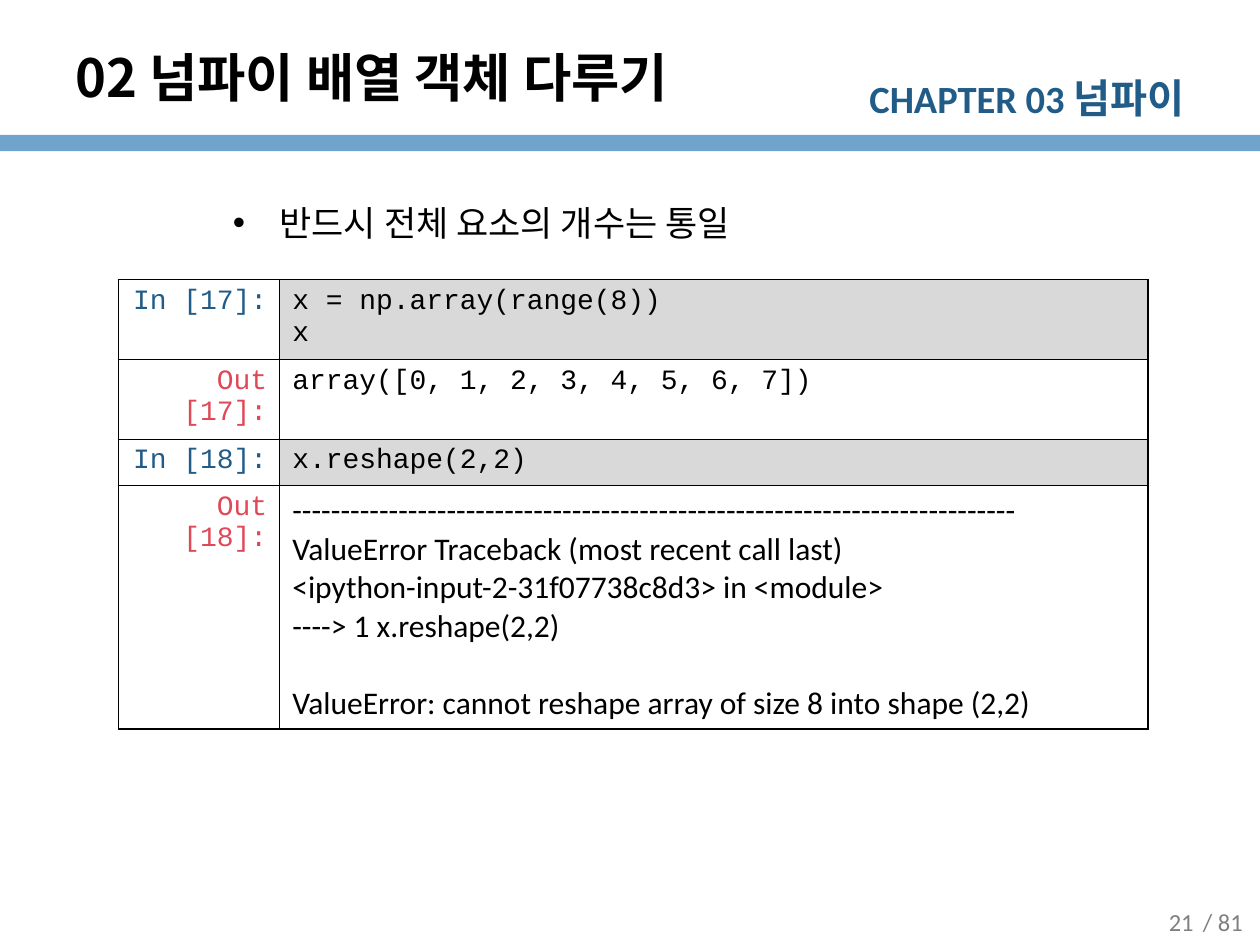
from pptx import Presentation
from pptx.dml.color import RGBColor
from pptx.enum.shapes import MSO_SHAPE as Shape
from pptx.enum.text import MSO_ANCHOR as Anchor, MSO_AUTO_SIZE as AutoSize, PP_ALIGN as Align
from pptx.oxml.ns import qn
from pptx.util import Inches, Pt
from lxml.etree import SubElement

COLUMNS, ROWS = 100, 75
SANS, CODE, KOREAN = "Calibri", "Courier New", "Noto Sans CJK KR"
BLACK, NAVY, RED, GRAY = "000000", "215C88", "DF4857", "808080"
BAND, CODE_FILL = "71A4CC", "D9D9D9"


def color(value):
    return RGBColor.from_string(value)


def write(para, text, size=16, font=SANS, ink=BLACK, bold=False, align=Align.LEFT):
    para.alignment = align
    span = para.add_run()
    span.text = text
    span.font.size = Pt(size)
    span.font.name = font
    span.font.bold = bold
    span.font.color.rgb = color(ink)
    SubElement(span.font._element, qn("a:ea"), typeface=KOREAN)


class LessonSlide:
    def __init__(self, deck):
        self.width, self.height = deck.slide_width, deck.slide_height
        self.page = deck.slides.add_slide(deck.slide_layouts[5])

    def across(self, columns):
        return round(self.width * columns / COLUMNS)

    def down(self, rows):
        return round(self.height * rows / ROWS)

    def place(self, left, top, width, height):
        return self.across(left), self.down(top), self.across(width), self.down(height)

    def title(self, text, area):
        box = self.page.shapes.title
        box.left, box.top, box.width, box.height = self.place(*area)
        frame = box.text_frame
        frame.auto_size = AutoSize.NONE
        frame.vertical_anchor = Anchor.MIDDLE
        write(frame.paragraphs[0], text, size=30, font=KOREAN, bold=True)

    def band(self, area, fill):
        band = self.page.shapes.add_shape(Shape.RECTANGLE, *self.place(*area))
        band.shadow.inherit = False
        band.fill.solid()
        band.fill.fore_color.rgb = color(fill)
        band.line.fill.background()

    def text(self, spans, area, anchor=Anchor.TOP, **style):
        frame = self.page.shapes.add_textbox(*self.place(*area)).text_frame
        frame.word_wrap = True
        frame.vertical_anchor = anchor
        para = frame.paragraphs[0]
        for text, size in spans:
            write(para, text, size=size, **style)
        return para

    def bullet(self, text, area, margin, hanging):
        para = self.text([], area)
        settings = para._p.get_or_add_pPr()
        settings.set("marL", str(self.across(margin)))
        settings.set("indent", str(-self.across(hanging)))
        SubElement(settings, qn("a:buFont"), typeface="Arial")
        SubElement(settings, qn("a:buChar"), char="•")
        para.line_spacing = 1.25
        write(para, text, size=20)

    def border(self, cell):
        settings = cell._tc.get_or_add_tcPr()
        for side in ("lnL", "lnR", "lnT", "lnB"):
            line = SubElement(settings, qn(f"a:{side}"), w=str(Pt(1)))
            paint = SubElement(line, qn("a:solidFill"))
            SubElement(paint, qn("a:srgbClr"), val=BLACK)

    def cell(self, cell, lines, fill=None, gap_before=None, **style):
        self.border(cell)
        if fill:
            cell.fill.solid()
            cell.fill.fore_color.rgb = color(fill)
        else:
            cell.fill.background()
        frame = cell.text_frame
        for index, line in enumerate(lines):
            para = frame.add_paragraph() if index else frame.paragraphs[0]
            if index == gap_before:
                para.space_before = Pt(22)
            write(para, line, **style)

    def notebook(self, entries, area, widths, heights):
        frame = self.page.shapes.add_table(len(entries), 2, *self.place(*area))
        table = frame.table
        table.first_row = table.horz_banding = False
        for column, width in zip(table.columns, widths):
            column.width = self.across(width)
        for index, (label, lines, style) in enumerate(entries):
            table.rows[index].height = self.down(heights[index])
            is_input = label.startswith("In")
            self.cell(table.cell(index, 0), [label], font=CODE,
                      ink=NAVY if is_input else RED, align=Align.RIGHT)
            self.cell(table.cell(index, 1), lines,
                      fill=CODE_FILL if is_input else None, **style)


def main():
    deck = Presentation()
    deck.slide_width, deck.slide_height = Inches(10), Inches(7.5)
    slide = LessonSlide(deck)

    slide.band((0, 10.7, 100, 1.3), BAND)
    slide.text([("CHAPTER 03 ", 22), ("넘파이", 23)], (66.2, 5.3, 28.8, 4.8),
               ink=NAVY, bold=True, align=Align.RIGHT)
    for text, left in (("/ 81", 94.1), ("21", 90.8)):
        slide.text([(text, 14)], (left, 71.4, 5.9, 3.9 - 0.4), Anchor.MIDDLE,
                   ink=GRAY, align=Align.CENTER)
    slide.title("02 넘파이 배열 객체 다루기", (5, 3, 78.3, 6.2))
    slide.bullet("반드시 전체 요소의 개수는 통일", (5, 14.7, 90, 6), 16.2, 3.7)

    code = {"font": CODE}
    traceback = [
        "-" * 75,
        "ValueError Traceback (most recent call last)",
        "<ipython-input-2-31f07738c8d3> in <module>",
        "----> 1 x.reshape(2,2)",
        "ValueError: cannot reshape array of size 8 into shape (2,2)",
    ]
    entries = [
        ("In [17]:", ["x = np.array(range(8))", "x"], code),
        ("Out [17]:", ["array([0, 1, 2, 3, 4, 5, 6, 7])"], code),
        ("In [18]:", ["x.reshape(2,2)"], code),
        ("Out [18]:", traceback, {"size": 18, "gap_before": 4}),
    ]
    slide.notebook(entries, (9.4, 22.2, 81.7, 34.8), (12.8, 68.9), (6, 6, 3.5, 19.3))
    deck.save("out.pptx")


if __name__ == "__main__":
    main()
